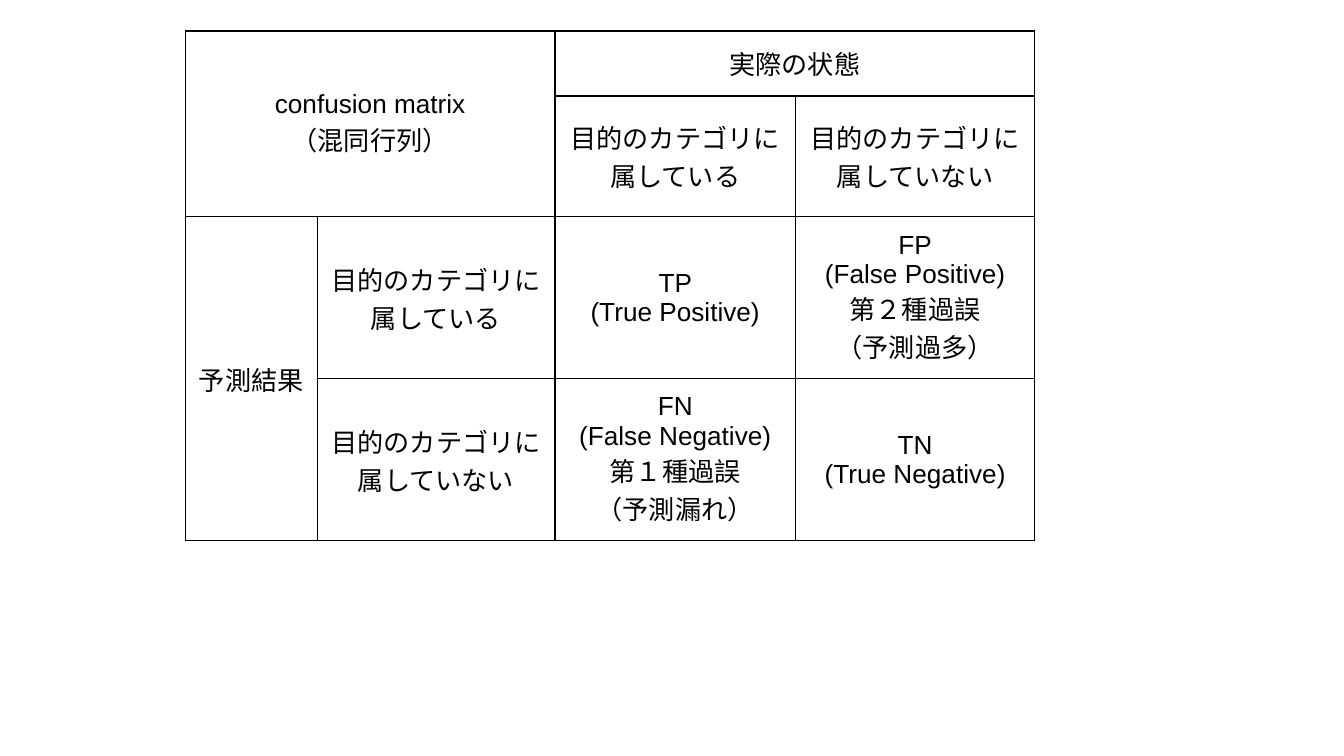
"""Build a slide with a confusion matrix table."""
from lxml.etree import SubElement
from pptx import Presentation
from pptx.dml.color import RGBColor
from pptx.enum.text import MSO_ANCHOR as Anchor, PP_ALIGN as Align
from pptx.oxml.ns import qn
from pptx.util import Inches, Pt

COLORS = {"text": "000000", "border": "000000"}
COLUMN_WIDTHS = [0.98, 1.77, 1.79, 1.78]
ROW_HEIGHTS = [0.43, 0.9, 1.13, 1.13]
BELONGS = "目的のカテゴリに\n属している"
NOT_BELONGS = "目的のカテゴリに\n属していない"
CONTENT = [
    ["confusion matrix\n（混同行列）", "", "実際の状態", ""],
    ["", "", BELONGS, NOT_BELONGS],
    ["予測結果", BELONGS, "TP\n(True Positive)",
     "FP\n(False Positive)\n第２種過誤\n（予測過多）"],
    ["", NOT_BELONGS, "FN\n(False Negative)\n第１種過誤\n（予測漏れ）",
     "TN\n(True Negative)"],
]
MERGES = [((0, 0), (1, 1)), ((0, 2), (0, 3)), ((2, 0), (3, 0))]


def add_borders(cell):
    properties = cell._tc.get_or_add_tcPr()
    for side in ("lnL", "lnR", "lnT", "lnB"):
        line = SubElement(properties, qn(f"a:{side}"), w=str(Pt(0.75)))
        fill = SubElement(line, qn("a:solidFill"))
        SubElement(fill, qn("a:srgbClr"), val=COLORS["border"])


presentation = Presentation()
presentation.slide_width = Inches(10)
presentation.slide_height = Inches(10) * 9 // 16
slide = presentation.slides.add_slide(presentation.slide_layouts[6])

matrix = slide.shapes.add_table(
    len(ROW_HEIGHTS), len(COLUMN_WIDTHS), Inches(1.38), Inches(0.23),
    Inches(sum(COLUMN_WIDTHS)), Inches(sum(ROW_HEIGHTS))).table
matrix.first_row = False
matrix.horz_banding = False
for column, width in zip(matrix.columns, COLUMN_WIDTHS):
    column.width = Inches(width)
for row, height in zip(matrix.rows, ROW_HEIGHTS):
    row.height = Inches(height)

for row, labels in zip(matrix.rows, CONTENT):
    for cell, label in zip(row.cells, labels):
        add_borders(cell)
        cell.fill.background()
        cell.vertical_anchor = Anchor.MIDDLE
        cell.margin_left = cell.margin_right = Inches(0.1)
        cell.margin_top = cell.margin_bottom = Inches(0.1)
        cell.text = label
        for paragraph in cell.text_frame.paragraphs:
            paragraph.alignment = Align.CENTER
            paragraph.font.name = "Arial"
            paragraph.font.size = Pt(14)
            paragraph.font.color.rgb = RGBColor.from_string(COLORS["text"])

for first, last in MERGES:
    matrix.cell(*first).merge(matrix.cell(*last))

presentation.save("out.pptx")
